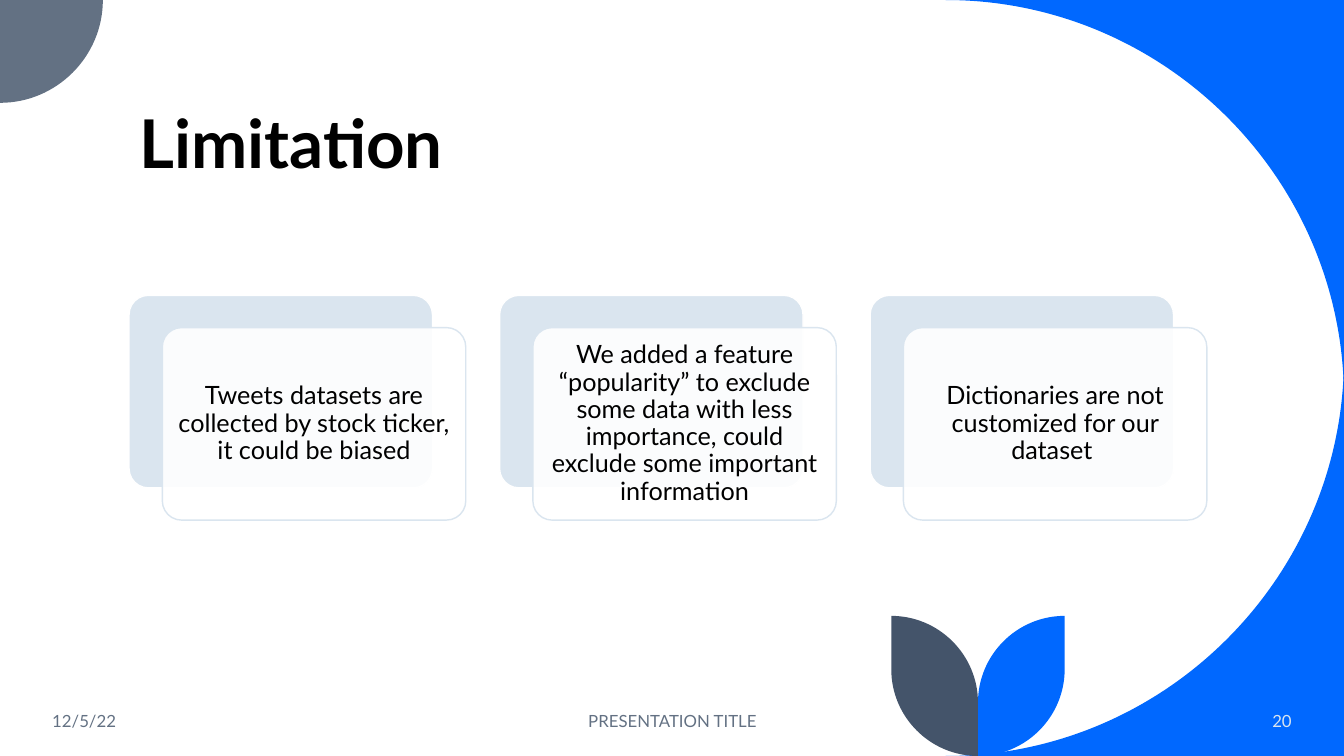
from dataclasses import dataclass
from typing import Optional

from lxml.etree import SubElement
from pptx import Presentation
from pptx.dml.color import RGBColor
from pptx.enum.shapes import MSO_SHAPE as Shape
from pptx.enum.text import MSO_ANCHOR as Anchor, PP_ALIGN as Align
from pptx.oxml.ns import qn
from pptx.util import Inches, Pt

COLORS = {
    "blue": "0068FF",
    "slate": "637183",
    "navy": "44546A",
    "pale": "DAE5EF",
    "white": "FFFFFF",
    "black": "000000",
}
FONT = "Lato"
WIDTH, HEIGHT = 13.33, 7.5
CURVE_LEFT, CURVE_RADIUS = 9.38, 3.95
CORNER_RADIUS = 1.02
LEAF_RADIUS, LEAF_STEM, LEAF_TOP = 0.86, 9.7, 6.11
ARC_HANDLE = 0.55  # share of the radius between an arc's end and its handle
CONTENT_LEFT, CONTENT_WIDTH = 1.28, 10.69
CARD_WIDTH, CARD_HEIGHT, CARD_TOP = 3.01, 1.91, 2.93
CARD_SHIFT_X, CARD_SHIFT_Y = 0.33, 0.32

Point = tuple[float, float]


@dataclass(frozen=True)
class Footer:
    text: str
    left: float
    width: float
    align: Align
    color: str


@dataclass(frozen=True)
class Step:
    """A line to end, or a quarter arc whose tangents meet at corner."""
    end: Point
    corner: Optional[Point] = None


@dataclass(frozen=True)
class Outline:
    start: Point
    steps: list[Step]
    color: str


FOOTERS = [
    Footer("12/5/22", 0.42, 3, Align.LEFT, "slate"),
    Footer("PRESENTATION TITLE", 4.42, 4.5, Align.CENTER, "slate"),
    Footer("20", 11.1, 1.81, Align.RIGHT, "pale"),
]
LIMITATIONS = [
    "Tweets datasets are collected by stock ticker, it could be biased",
    "We added a feature “popularity” to exclude some data with less "
    "importance, could exclude some important information",
    "Dictionaries are not customized for our dataset ",
]


def rgb(name: str) -> RGBColor:
    return RGBColor.from_string(COLORS[name])


def curve_outline(edge: float, side: float) -> Outline:
    """Blue area between the slide's right corner at edge and the big curve."""
    corner = (WIDTH, edge)
    return Outline(corner, [Step((CURVE_LEFT, edge)), Step((WIDTH, side), corner)], "blue")


def leaf_outline(tip: float, color: str) -> Outline:
    return Outline((tip, LEAF_TOP), [
        Step((tip, HEIGHT - LEAF_RADIUS)),
        Step((LEAF_STEM, HEIGHT), (tip, HEIGHT)),
        Step((LEAF_STEM, LEAF_TOP + LEAF_RADIUS)),
        Step((tip, LEAF_TOP), (LEAF_STEM, LEAF_TOP)),
    ], color)


OUTLINES = [
    curve_outline(0, CURVE_RADIUS),
    curve_outline(HEIGHT, HEIGHT - CURVE_RADIUS),
    Outline((0, 0), [Step((CORNER_RADIUS, 0)),
                     Step((0, CORNER_RADIUS), (CORNER_RADIUS, CORNER_RADIUS))], "slate"),
    leaf_outline(LEAF_STEM + LEAF_RADIUS, "blue"),
    leaf_outline(LEAF_STEM - LEAF_RADIUS, "navy"),
]


def bend_line(line, start: Point, step: Step, origin: Point) -> None:
    """Turn a straight segment of a freeform into a Bezier quarter arc."""
    handles = [tuple(a + ARC_HANDLE * (c - a) for a, c in zip(anchor, step.corner))
               for anchor in (start, step.end)]
    line.tag = qn("a:cubicBezTo")
    line.remove(line[0])
    for x, y in (*handles, step.end):
        SubElement(line, qn("a:pt"), x=str(Inches(x - origin[0])),
                   y=str(Inches(y - origin[1])))


def draw_outline(page, outline: Outline) -> None:
    points = [outline.start] + [step.end for step in outline.steps]
    corners = [(Inches(x), Inches(y)) for x, y in points]
    builder = page.shapes.build_freeform(*corners[0])
    builder.add_line_segments(corners[1:], close=True)
    shape = builder.convert_to_shape()
    shape.shadow.inherit = False
    shape.fill.solid()
    shape.fill.fore_color.rgb = rgb(outline.color)
    shape.line.fill.background()
    origin = (min(x for x, _ in points), min(y for _, y in points))
    lines = list(shape._element.iter(qn("a:lnTo")))
    for line, start, step in zip(lines, points, outline.steps):
        if step.corner:
            bend_line(line, start, step, origin)


def write_text(box, text: str, *, size: float, color: str = "black",
               bold: bool = False, align: Align = Align.LEFT,
               anchor: Anchor = Anchor.MIDDLE, spacing: float = 1.0) -> None:
    frame = box.text_frame
    frame.word_wrap = True
    frame.vertical_anchor = anchor
    para = frame.paragraphs[0]
    para.alignment = align
    para.line_spacing = spacing
    span = para.add_run()
    span.text = text
    span.font.name = FONT
    span.font.size = Pt(size)
    span.font.bold = bold
    span.font.color.rgb = rgb(color)


def add_panel(page, left: float, top: float, fill: str, line: str):
    panel = page.shapes.add_shape(Shape.ROUNDED_RECTANGLE, Inches(left), Inches(top),
                                  Inches(CARD_WIDTH), Inches(CARD_HEIGHT))
    panel.adjustments[0] = 0.1
    panel.shadow.inherit = False
    panel.fill.solid()
    panel.fill.fore_color.rgb = rgb(fill)
    panel.line.color.rgb = rgb(line)
    panel.line.width = Pt(1)
    return panel


def set_opacity(shape, percent: int) -> None:
    color = shape.fill._xPr.find(qn("a:solidFill"))[0]
    SubElement(color, qn("a:alpha")).set("val", str(percent * 1000))


def draw_card(page, left: float, text: str) -> None:
    add_panel(page, left, CARD_TOP, "pale", "white")
    front = add_panel(page, left + CARD_SHIFT_X, CARD_TOP + CARD_SHIFT_Y, "white", "pale")
    set_opacity(front, 90)
    frame = front.text_frame
    frame.margin_left = frame.margin_right = Inches(0.07)
    frame.margin_top = frame.margin_bottom = Inches(0.07)
    write_text(front, text, size=18, align=Align.CENTER, spacing=0.9)


def draw_title(page, text: str) -> None:
    title = page.shapes.title
    title.left, title.top = Inches(CONTENT_LEFT), Inches(0.42)
    title.width, title.height = Inches(CONTENT_WIDTH), Inches(1.45)
    write_text(title, text, size=48, bold=True, anchor=Anchor.BOTTOM, spacing=0.9)


def draw_footer(page, footer: Footer) -> None:
    box = page.shapes.add_textbox(Inches(footer.left), Inches(6.95),
                                  Inches(footer.width), Inches(0.4))
    write_text(box, footer.text, size=12, color=footer.color, align=footer.align)


def main() -> None:
    deck = Presentation()
    deck.slide_width, deck.slide_height = Inches(WIDTH), Inches(HEIGHT)
    page = deck.slides.add_slide(deck.slide_layouts.get_by_name("Title Only"))
    for outline in OUTLINES:
        draw_outline(page, outline)
    draw_title(page, "Limitation")
    for footer in FOOTERS:
        draw_footer(page, footer)
    card_step = (CONTENT_WIDTH - CARD_WIDTH - CARD_SHIFT_X) / (len(LIMITATIONS) - 1)
    for index, text in enumerate(LIMITATIONS):
        draw_card(page, CONTENT_LEFT + index * card_step, text)
    deck.save("out.pptx")


if __name__ == "__main__":
    main()
